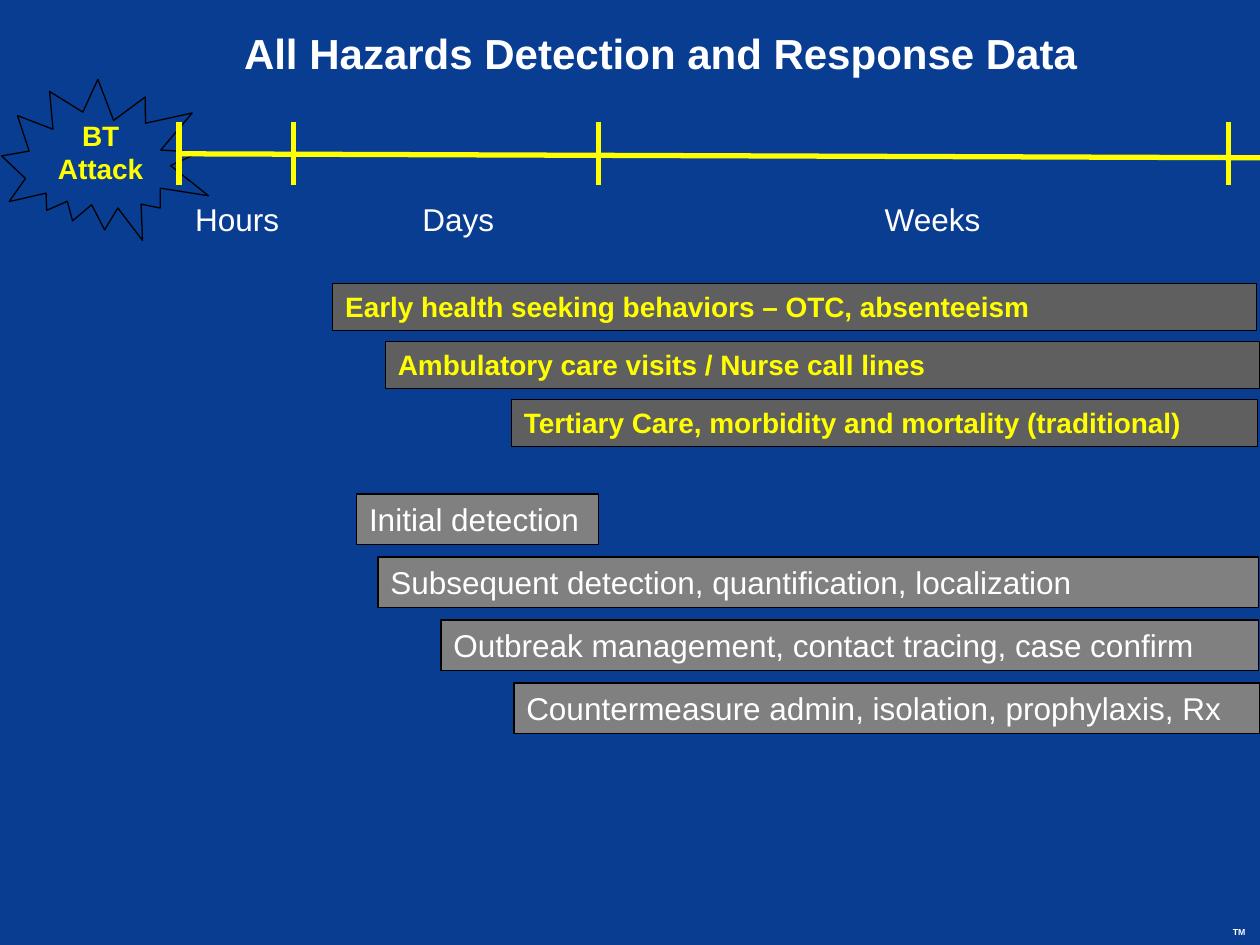
from pptx import Presentation
from pptx import util as u
from pptx.dml.color import RGBColor
from pptx.enum import shapes, text
from pptx.oxml.ns import qn
from lxml import etree

NAVY = RGBColor(0x08, 0x3D, 0x92)
YELLOW = RGBColor(0xFF, 0xFF, 0x00)
WHITE = RGBColor(0xFF, 0xFF, 0xFF)
BLACK = RGBColor(0x00, 0x00, 0x00)
DARK_GRAY = RGBColor(0x5F, 0x5F, 0x5F)
GRAY = RGBColor(0x80, 0x80, 0x80)

TITLE = "All Hazards Detection and Response Data"
TICKS = [3.61, 5.92, 12.07, 24.77]
TICK_TOP, TICK_BOTTOM = 2.46, 3.73
AXIS = (3.61, 3.1, 25.4, 3.18)
PERIODS = [("Hours", 3.63, 2.3), ("Days", 8.22, 2.04), ("Weeks", 17.54, 2.52)]
SIGNALS = [
    ("Early health seeking behaviors – OTC, absenteeism", 6.71, 18.62),
    ("Ambulatory care visits / Nurse call lines", 7.77, 17.63),
    ("Tertiary Care, morbidity and mortality (traditional)", 10.31, 15.04),
]
RESPONSES = [
    ("Initial detection", 7.19, 4.88),
    ("Subsequent detection, quantification, localization", 7.62, 17.75),
    ("Outbreak management, contact tracing, case confirm", 8.89, 16.48),
    ("Countermeasure admin, isolation, prophylaxis, Rx", 10.36, 15.04),
]


def cm(*values):
    return [u.Cm(v) for v in values]


def write(sp, content, size=18, color=WHITE, bold=False,
          align=text.PP_ALIGN.LEFT, wrap=True):
    tf = sp.text_frame
    tf.word_wrap = wrap
    tf.auto_size = text.MSO_AUTO_SIZE.SHAPE_TO_FIT_TEXT
    tf.vertical_anchor = text.MSO_ANCHOR.TOP
    tf.text = content
    for p in tf.paragraphs:
        p.alignment = align
        p.font.name = "Arial"
        p.font.size = u.Pt(size)
        p.font.bold = bold
        p.font.color.rgb = color


def add_label(parent, content, box, **style):
    write(parent.shapes.add_textbox(*cm(*box)), content, **style)


def add_outlined(parent, kind, box):
    sp = parent.shapes.add_shape(kind, *cm(*box))
    sp.shadow.inherit = False
    sp.fill.background()
    sp.line.color.rgb = BLACK
    sp.line.width = u.Pt(0.75)
    return sp


def add_line(parent, *ends):
    line = parent.shapes.add_connector(shapes.MSO_CONNECTOR.STRAIGHT, *cm(*ends))
    line.line.color.rgb = YELLOW
    line.line.width = u.Pt(3)
    etree.SubElement(line._element.spPr, qn("a:effectLst"))


def add_bars(parent, bars, top, step, height, fill, **style):
    for i, (content, left, width) in enumerate(bars):
        box = (left, top + i * step, width, height)
        sp = add_outlined(parent, shapes.MSO_SHAPE.RECTANGLE, box)
        sp.fill.solid()
        sp.fill.fore_color.rgb = fill
        write(sp, content, **style)


def main():
    prs = Presentation()
    prs.slide_width, prs.slide_height = cm(25.4, 19.05)
    s = prs.slides.add_slide(prs.slide_layouts[6])
    s.background.fill.solid()
    s.background.fill.fore_color.rgb = NAVY
    center = text.PP_ALIGN.CENTER

    add_label(s, "TM", (24.56, 18.55, 0.84, 0.48), size=5, bold=True, align=center)

    burst = add_outlined(s, shapes.MSO_SHAPE.EXPLOSION2, (0.15, 1.45, 4.04, 3.66))
    burst.rotation = 37.4

    timeline = s.shapes.add_group_shape()
    add_label(timeline, "BT\nAttack", (0.91, 2.26, 2.24, 1.63), size=16,
              color=YELLOW, bold=True, align=center, wrap=False)
    add_line(timeline, *AXIS)
    for x in TICKS:
        add_line(timeline, x, TICK_TOP, x, TICK_BOTTOM)
    for content, left, width in PERIODS:
        add_label(timeline, content, (left, 3.9, width, 1.02),
                  align=center, wrap=False)

    add_label(s, TITLE, (4.67, 0.43, 17.3, 1.27), size=24, bold=True, wrap=False)
    add_bars(s, RESPONSES, 9.96, 1.27, 1.02, GRAY)
    add_bars(s.shapes.add_group_shape(), SIGNALS, 5.72, 1.17, 0.94, DARK_GRAY,
             size=16, color=YELLOW, bold=True)

    prs.save("out.pptx")


if __name__ == "__main__":
    main()
